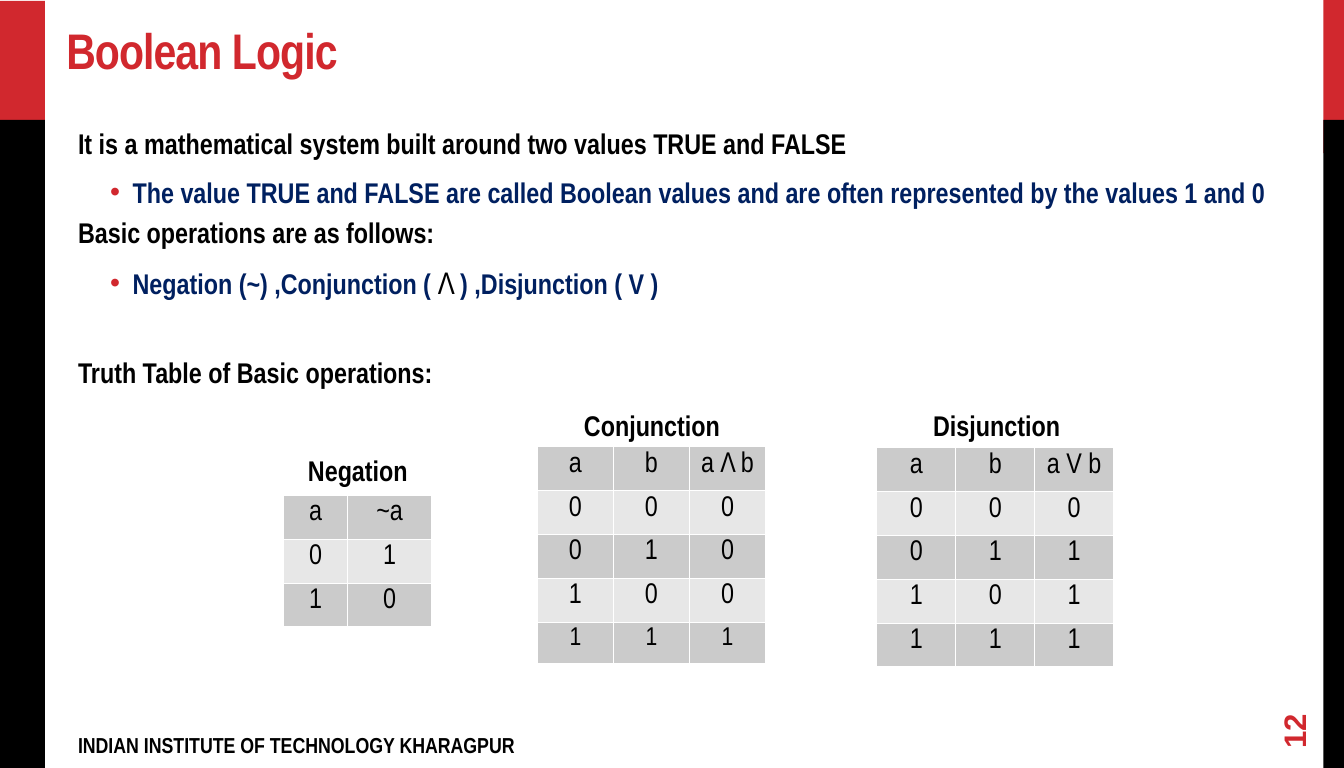
from dataclasses import dataclass

from lxml import etree
from pptx import Presentation
from pptx.dml.color import RGBColor
from pptx.enum.shapes import MSO_SHAPE
from pptx.enum.text import MSO_ANCHOR, MSO_AUTO_SIZE, PP_ALIGN
from pptx.oxml.ns import qn
from pptx.util import Inches, Pt


@dataclass(frozen=True)
class Theme:
    """Colours, fonts and type sizes of the slide."""
    red: str = "D1282E"
    black: str = "000000"
    navy: str = "002060"
    white: str = "FFFFFF"
    dark_band: str = "CBCBCB"
    light_band: str = "E7E7E7"
    font: str = "Arial Narrow"
    number_font: str = "Arial"
    title: float = 36.9
    text: float = 21
    symbol: float = 23
    small: float = 19
    footer: float = 16


THEME = Theme()
SLIDE_HEIGHT = 63 / 8
SLIDE_WIDTH = SLIDE_HEIGHT * 7 / 4
ROW_HEIGHT = 0.45
LINE_GAP = 4.2


def add_run(paragraph, text, size=THEME.text, color=THEME.black, bold=True,
            font=THEME.font):
    """Append a formatted run to a paragraph."""
    run = paragraph.add_run()
    run.text = text
    run.font.size = Pt(size)
    run.font.name = font
    run.font.bold = bold
    run.font.color.rgb = RGBColor.from_string(color)
    return run


def set_frame(shape, anchor=MSO_ANCHOR.TOP, insets=(0.11, 0.06)):
    """Give a text frame wrapping, fixed size and (side, top) insets."""
    frame = shape.text_frame
    frame.word_wrap = True
    frame.auto_size = MSO_AUTO_SIZE.NONE
    frame.vertical_anchor = anchor
    frame.margin_left = frame.margin_right = Inches(insets[0])
    frame.margin_top = frame.margin_bottom = Inches(insets[1])
    return frame


def place(shape, left, top, width, height):
    """Move and size a shape, in inches."""
    shape.left, shape.top = Inches(left), Inches(top)
    shape.width, shape.height = Inches(width), Inches(height)


def add_bar(slide, left, top, width, height, color):
    """Draw one plain side bar."""
    bar = slide.shapes.add_shape(MSO_SHAPE.RECTANGLE, Inches(left), Inches(top),
                                 Inches(width), Inches(height))
    bar.shadow.inherit = False
    bar.fill.solid()
    bar.fill.fore_color.rgb = RGBColor.from_string(color)
    bar.line.fill.background()


def add_label(slide, text, left, top, width, height, anchor=MSO_ANCHOR.TOP,
              insets=(0.11, 0.06), **style):
    """Add a one-line text box and return it."""
    box = slide.shapes.add_textbox(Inches(left), Inches(top),
                                   Inches(width), Inches(height))
    add_run(set_frame(box, anchor, insets).paragraphs[0], text, **style)
    return box


def fill_title(slide, text):
    """Place and fill the title placeholder."""
    title = slide.shapes.title
    place(title, 0.57, 0.18, 12.86, 0.7)
    paragraph = set_frame(title, MSO_ANCHOR.BOTTOM).paragraphs[0]
    paragraph.alignment = PP_ALIGN.LEFT
    run = add_run(paragraph, text, THEME.title, THEME.red)
    run.font._element.set("spc", "-70")


def set_bullet(paragraph, bulleted):
    """Set the indent and the red bullet, or remove both."""
    props = paragraph._p.get_or_add_pPr()
    props.set("marL", str(Inches(0.56 if bulleted else 0)))
    props.set("indent", str(Inches(-0.23 if bulleted else 0)))
    if not bulleted:
        etree.SubElement(props, qn("a:buNone"))
        return
    color = etree.SubElement(props, qn("a:buClr"))
    etree.SubElement(color, qn("a:srgbClr"), val=THEME.red)
    etree.SubElement(props, qn("a:buFont"), typeface=THEME.number_font)
    etree.SubElement(props, qn("a:buChar"), char="•")


def fill_body(slide, items):
    """Fill the body placeholder with (level, space before, runs) items."""
    body = slide.placeholders[1]
    place(body, 0.69, 1.23, 12.63, 5.81)
    frame = set_frame(body)
    for index, (level, before, runs) in enumerate(items):
        paragraph = frame.add_paragraph() if index else frame.paragraphs[0]
        paragraph.level = level
        paragraph.space_before = Pt(before)
        paragraph.space_after = Pt(0 if level else 6.8)
        set_bullet(paragraph, bulleted=level > 0)
        for text, style in runs:
            add_run(paragraph, text, **style)


def set_borders(cell):
    """Draw a thin white line on each side of a cell."""
    props = cell._tc.get_or_add_tcPr()
    for side in ("lnL", "lnR", "lnT", "lnB"):
        line = etree.SubElement(props, qn(f"a:{side}"), w=str(Pt(1)))
        fill = etree.SubElement(line, qn("a:solidFill"))
        etree.SubElement(fill, qn("a:srgbClr"), val=THEME.white)


def add_truth_table(slide, left, top, widths, rows, small_last_row=False):
    """Add a banded truth table; each row is a list of cell texts."""
    frame = slide.shapes.add_table(len(rows), len(widths), Inches(left), Inches(top),
                                   Inches(sum(widths)), Inches(ROW_HEIGHT * len(rows)))
    table = frame.table
    table.first_row = table.horz_banding = False
    for column, width in zip(table.columns, widths):
        column.width = Inches(width)
    for r, texts in enumerate(rows):
        small = small_last_row and r == len(rows) - 1
        table.rows[r].height = Inches(0.42 if small else ROW_HEIGHT)
        for c, text in enumerate(texts):
            cell = table.cell(r, c)
            set_borders(cell)
            cell.fill.solid()
            cell.fill.fore_color.rgb = RGBColor.from_string(
                THEME.light_band if r % 2 else THEME.dark_band)
            paragraph = cell.text_frame.paragraphs[0]
            paragraph.alignment = PP_ALIGN.CENTER
            add_run(paragraph, text, THEME.small if small else THEME.text, bold=False)


def binary_rows(heading, operation):
    """Return the truth table rows of an operation on a and b."""
    return [["a", "b", heading]] + [
        [str(a), str(b), str(operation(a, b))] for a in (0, 1) for b in (0, 1)]


def main():
    """Build the slide and save it."""
    prs = Presentation()
    prs.slide_width, prs.slide_height = Inches(SLIDE_WIDTH), Inches(SLIDE_HEIGHT)
    slide = prs.slides.add_slide(prs.slide_layouts[1])

    for left, top, width in ((13.57, 0, 0.21), (0, 0.01, 0.46)):
        add_bar(slide, left, top, width, 1.57, THEME.red)
        add_bar(slide, left, 1.23, width, SLIDE_HEIGHT - 1.23, THEME.black)

    fill_title(slide, "Boolean Logic")
    navy = {"color": THEME.navy}
    fill_body(slide, [
        (0, LINE_GAP, [("It is a mathematical system built around two values "
                        "TRUE and FALSE", {})]),
        (1, LINE_GAP, [("The value TRUE and FALSE are called Boolean values and are "
                        "often represented by the values 1 and 0 ", navy)]),
        (0, LINE_GAP, [("Basic operations are as follows:", {})]),
        (1, LINE_GAP, [("Negation (~) ,Conjunction ( ", navy),
                       ("Λ ", {"size": THEME.symbol, "bold": False}),
                       (") ,Disjunction ( V )", navy)]),
        (0, 40, [("Truth Table of Basic operations:", {})]),
    ])

    add_truth_table(slide, 2.91, 5.08, [0.65, 0.87],
                    [["a", "~a"]] + [[str(a), str(1 - a)] for a in (0, 1)])
    add_truth_table(slide, 5.51, 4.58, [0.78] * 3,
                    binary_rows("a Λ b ", lambda a, b: a & b), small_last_row=True)
    add_truth_table(slide, 8.99, 4.59, [0.81] * 3,
                    binary_rows("a V b", lambda a, b: a | b))

    for name, left, top, width in (("Negation ", 3.06, 4.6, 1.3),
                                   ("Conjunction ", 5.89, 4.13, 1.67),
                                   ("Disjunction ", 9.47, 4.13, 1.58)):
        add_label(slide, name, left, top, width, 0.45, insets=(0.1, 0.05))

    add_label(slide, "INDIAN INSTITUTE OF TECHNOLOGY KHARAGPUR",
              0.69, 7.44, 8.38, 0.34, size=THEME.footer)
    number = add_label(slide, "12", 12.86, 7.21, 0.81, 0.34, MSO_ANCHOR.MIDDLE,
                       size=THEME.symbol, color=THEME.red, font=THEME.number_font)
    number.rotation = 270

    prs.save("out.pptx")


main()
